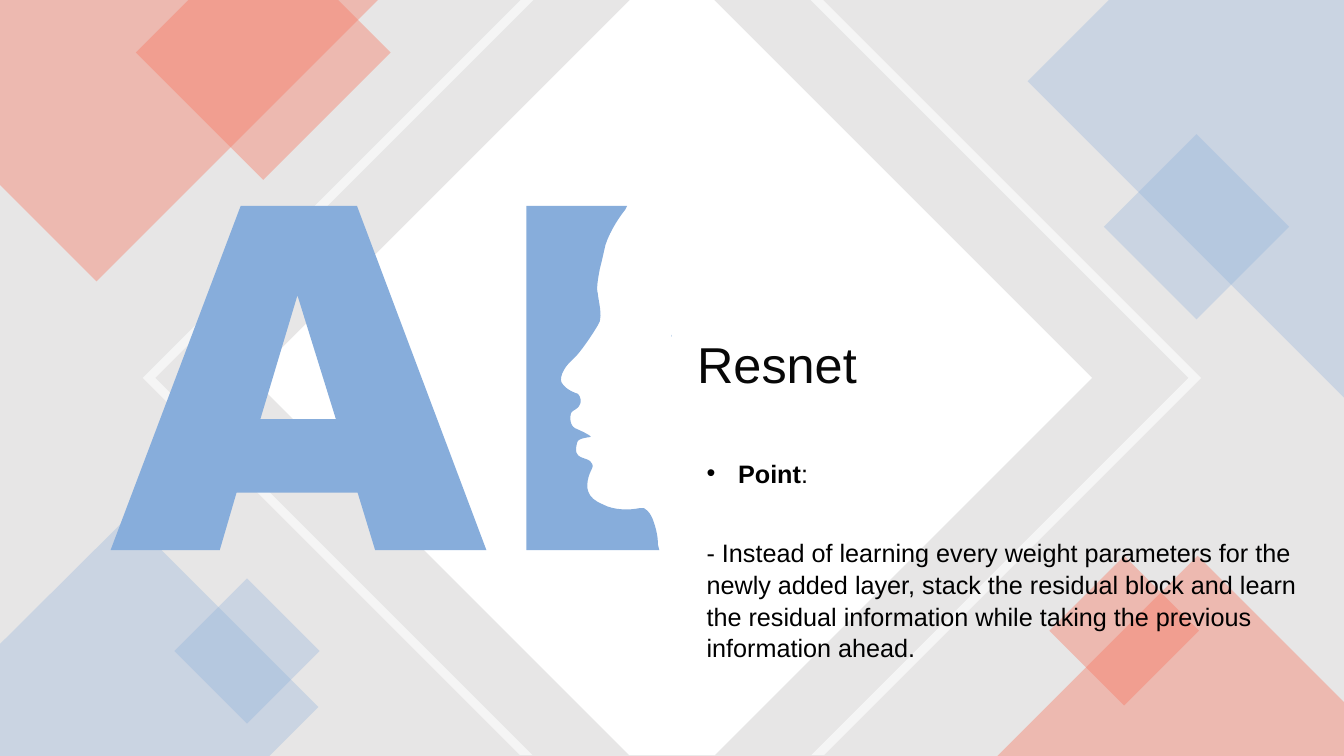
from lxml import etree
from pptx import Presentation
from pptx import util as u
from pptx.dml.color import RGBColor
from pptx.enum import shapes, text
from pptx.oxml.ns import qn

GREY, WHITE, RED, BLUE = "E7E6E6", "FFFFFF", "F77660", "87ADDB"

LETTER_A = [(172, 147), (255, 147), (347.5, 393), (268, 393),
            (255.5, 352), (169, 352), (157, 393), (79, 393)]
A_HOLE = [(212.5, 211), (186, 299.5), (240, 299.5)]
DOT = [(480, 239), (480, 240), (479.5, 240.5)]
PROFILE = [
    [(446.5, 150)],
    [(444, 153), (436, 164), (432.5, 175)],
    [(430, 186)],
    [(428.5, 192)],
    [(427, 200), (426, 206.5), (427, 209.5)],
    [(427.5, 214), (429, 220), (429, 225.5)],
    [(428.5, 229.5)],
    [(427, 232.5)],
    [(423.5, 238.5), (414.5, 252), (409.5, 256.5)],
    [(404.5, 260.5), (399.5, 268), (401, 273)],
    [(404, 278), (409, 280), (412, 281)],
    [(414, 281.5), (416, 286.5), (414, 289.5)],
    [(412.5, 292.5), (409, 293), (408, 295)],
    [(407, 298), (407, 304), (411, 306)],
    [(414.5, 307.5), (422, 311), (422, 312)],
    [(422, 312.5), (414, 312.5), (412.5, 315.5)],
    [(412, 317.5), (410.5, 322), (412.5, 324.5)],
    [(414, 327.5), (420.5, 327.5), (422, 330)],
    [(425, 333.5), (422.5, 334), (420.5, 340.5)],
    [(418.5, 348), (418.5, 355.5), (431, 360.5)],
    [(438.5, 364.5), (449.5, 364.5), (457, 363)],
    [(460, 363)],
    [(462, 364.5)],
    [(465, 367), (466.5, 371), (468, 376)],
    [(469, 379.5), (470, 384), (470, 389)],
    [(471, 393)],
]


def rgb(hex_color):
    return RGBColor.from_string(hex_color)


def paint(sp, color, opacity=100):
    sp.shadow.inherit = False
    sp.fill.solid()
    sp.fill.fore_color.rgb = rgb(color)
    sp.line.fill.background()
    if opacity < 100:
        clr = sp.element.spPr.find(qn("a:solidFill"))[0]
        etree.SubElement(clr, qn("a:alpha"), val=str(opacity * 1000))


def add_rect(s, x, y, w, h, color, opacity=100, rotation=0):
    sp = s.shapes.add_shape(shapes.MSO_SHAPE.RECTANGLE,
                            u.Pt(x), u.Pt(y), u.Pt(w), u.Pt(h))
    sp.rotation = rotation
    paint(sp, color, opacity)


def add_diamond(s, cx, cy, side, color, opacity):
    add_rect(s, cx - side / 2, cy - side / 2, side, side, color, opacity, 45)


def add_outline(s, contours, color, opacity=100):
    contours = [[(u.Pt(x), u.Pt(y)) for x, y in c] for c in contours]
    fb = s.shapes.build_freeform(*contours[0][0])
    fb.add_line_segments(contours[0][1:])
    for c in contours[1:]:
        fb.move_to(*c[0])
        fb.add_line_segments(c[1:])
    paint(fb.convert_to_shape(), color, opacity)


def trace(start, segments, steps=8):
    pts = [start]
    for seg in segments:
        if len(seg) == 1:
            pts += seg
            continue
        ctrl = [pts[-1], *seg]
        for i in range(1, steps + 1):
            t = i / steps
            weights = ((1 - t) ** 3, 3 * t * (1 - t) ** 2, 3 * t * t * (1 - t), t ** 3)
            pts.append(tuple(sum(w * c[k] for w, c in zip(weights, ctrl)) for k in (0, 1)))
    return pts


def place(sp, x, y, w, h, anchor):
    sp.left, sp.top, sp.width, sp.height = u.Pt(x), u.Pt(y), u.Pt(w), u.Pt(h)
    sp.element.getparent().append(sp.element)
    tf = sp.text_frame
    tf.word_wrap = True
    tf.auto_size = text.MSO_AUTO_SIZE.NONE
    tf.vertical_anchor = anchor
    return tf


def format_paragraph(p, spacing, before=0):
    p.line_spacing = spacing
    p.space_before, p.space_after = u.Pt(before), u.Pt(6)


def set_bullet(p, char=None, indent=0):
    pPr = p._p.get_or_add_pPr()
    pPr.set("marL", str(u.Pt(indent)))
    pPr.set("indent", str(-u.Pt(indent)))
    if char:
        etree.SubElement(pPr, qn("a:buFont"), typeface="Arial")
        etree.SubElement(pPr, qn("a:buChar"), char=char)
    else:
        etree.SubElement(pPr, qn("a:buNone"))


def add_run(p, words, size, color="000000", bold=False):
    r = p.add_run()
    r.text = words
    r.font.name, r.font.size, r.font.bold = "Arial", u.Pt(size), bold
    r.font.color.rgb = rgb(color)


def add_title(s):
    tf = place(s.shapes.title, 327.5, 178, 455, 169, text.MSO_ANCHOR.MIDDLE)
    p = tf.paragraphs[0]
    p.alignment = text.PP_ALIGN.CENTER
    format_paragraph(p, 0.9)
    add_run(p, "Resnet", 36, "080808")


def add_body(s):
    tf = place(s.placeholders[1], 497.5, 322.5, 436.5, 178, text.MSO_ANCHOR.TOP)
    p = tf.paragraphs[0]
    set_bullet(p, "•", 22.5)
    format_paragraph(p, 1.05)
    add_run(p, "Point", 18, bold=True)
    add_run(p, ":", 18)
    p = tf.add_paragraph()
    set_bullet(p)
    format_paragraph(p, 1.05, 28)
    add_run(p, "- Instead of learning every weight parameters for the newly added layer, "
               "stack the residual block and learn the residual information while taking "
               "the previous information ahead.", 18)


def main():
    prs = Presentation()
    prs.slide_width, prs.slide_height = u.Pt(960), u.Pt(540)
    s = prs.slides.add_slide(prs.slide_layouts[1])

    add_rect(s, 0, 0, 960, 540, GREY)
    add_outline(s, [[(0, 0), (270, 0), (69, 201), (0, 132)]], RED, 40)
    add_outline(s, [[(134.5, 0), (241.5, 0), (279, 37.5), (188, 128.5), (97, 37.5)]], RED, 40)
    add_outline(s, [[(792, 0), (960, 0), (960, 284), (734, 58)]], BLUE, 30)
    add_diamond(s, 854.6, 162, 93.6, BLUE, 30)
    add_outline(s, [[(91.5, 369), (227.5, 505), (192.5, 540), (0, 540), (0, 460)]], BLUE, 30)
    add_diamond(s, 176.4, 465, 73.4, BLUE, 30)
    add_outline(s, [[(450, 0), (510, 0), (780, 270), (510.5, 539.5),
                     (449.5, 539.5), (180, 270)]], WHITE)
    add_title(s)

    chevron = [(579, 0), (588, 0), (858, 270), (588.5, 539.5), (579.5, 539.5), (849, 270)]
    add_outline(s, [chevron, [(960 - x, y) for x, y in chevron]], WHITE, 60)
    add_outline(s, [[(855.5, 397), (960, 501.5), (960, 540), (712.5, 540)]], RED, 40)
    add_diamond(s, 803, 450.5, 75.6, RED, 40)

    letter_i = [(376, 393), (376, 147), *trace((448, 147), PROFILE)]
    add_outline(s, [LETTER_A, A_HOLE, letter_i, DOT], BLUE)
    add_body(s)
    prs.save("out.pptx")


if __name__ == "__main__":
    main()
